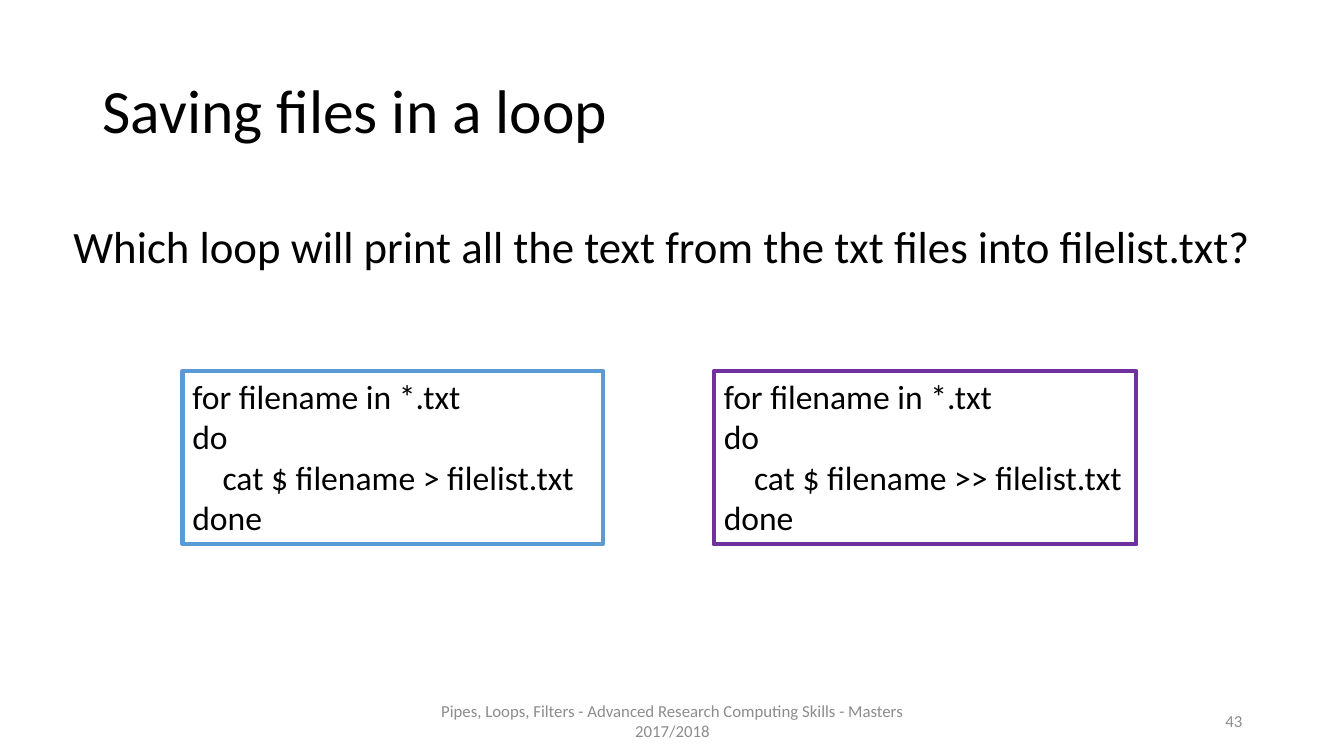
from dataclasses import dataclass

from pptx import Presentation
from pptx import util as u
from pptx.dml.color import RGBColor
from pptx.enum import shapes, text

PX = 9144  # EMU per px, 100 px to the inch
FONT = "Calibri"
COLORS = {"ink": "000000", "muted": "8C8C8C", "paper": "FFFFFF",
          "blue": "5B9BD5", "purple": "7030A0"}
CODE_INDENT = 30


@dataclass
class Label:
    words: str
    box: tuple[int, int, int, int]
    size: int
    color: str = "ink"
    align: text.PP_ALIGN = text.PP_ALIGN.LEFT
    anchor: text.MSO_ANCHOR = text.MSO_ANCHOR.MIDDLE
    spacing: float = 1.0


@dataclass
class CodeBox:
    redirect: str
    left: int
    width: int
    border: str
    wrap: bool


def px(*lengths: int) -> list[u.Emu]:
    return [u.Emu(n * PX) for n in lengths]


def rgb(name: str) -> RGBColor:
    return RGBColor.from_string(COLORS[name])


def set_all(target, values: dict) -> None:
    for name, value in values.items():
        setattr(target, name, value)


def add_run(p, words: str, size: int, color: str) -> None:
    r = p.add_run()
    r.text = words
    set_all(r.font, {"name": FONT, "size": u.Pt(size)})
    r.font.color.rgb = rgb(color)


def draw_label(slide, label: Label) -> None:
    tf = slide.shapes.add_textbox(*px(*label.box)).text_frame
    set_all(tf, {"word_wrap": True, "vertical_anchor": label.anchor})
    p = tf.paragraphs[0]
    set_all(p, {"alignment": label.align, "line_spacing": label.spacing})
    add_run(p, label.words, label.size, label.color)


def draw_code(slide, code: CodeBox) -> None:
    sp = slide.shapes.add_shape(shapes.MSO_SHAPE.RECTANGLE,
                                *px(code.left, 368, code.width, 172))
    sp.shadow.inherit = False
    sp.fill.solid()
    sp.fill.fore_color.rgb = rgb("paper")
    sp.line.color.rgb = rgb(code.border)
    sp.line.width = u.Pt(3)
    tf = sp.text_frame
    set_all(tf, {"word_wrap": code.wrap, "vertical_anchor": text.MSO_ANCHOR.TOP})
    lines = [("for filename in *.txt", 0), ("do", 0),
             (f"cat $ filename {code.redirect} filelist.txt", CODE_INDENT),
             ("done", 0)]
    for i, (words, indent) in enumerate(lines):
        p = tf.add_paragraph() if i else tf.paragraphs[0]
        p.alignment = text.PP_ALIGN.LEFT
        if indent:
            p._p.get_or_add_pPr().set("marL", str(indent * PX))
        add_run(p, words, 24, "ink")


LABELS = [
    Label("Saving files in a loop", (92, 40, 1150, 145), 44, spacing=0.9),
    Label("Pipes, Loops, Filters - Advanced Research Computing Skills - Masters 2017/2018",
          (392, 695, 550, 40), 12, "muted", text.PP_ALIGN.CENTER),
    Label("43", (942, 695, 300, 40), 12, "muted", text.PP_ALIGN.RIGHT),
    Label("Which loop will print all the text from the txt files into filelist.txt?",
          (63, 212, 1193, 64), 32, anchor=text.MSO_ANCHOR.TOP),
]
CODE_BOXES = [
    CodeBox(">", 181, 417, "blue", True),
    CodeBox(">>", 708, 419, "purple", False),
]


def main() -> None:
    prs = Presentation()
    prs.slide_width, prs.slide_height = px(1333, 750)
    slide = prs.slides.add_slide(prs.slide_layouts[6])

    # Title, question and footer
    for label in LABELS:
        draw_label(slide, label)

    # The two loops to choose from
    for code in CODE_BOXES:
        draw_code(slide, code)

    prs.save("out.pptx")


if __name__ == "__main__":
    main()
